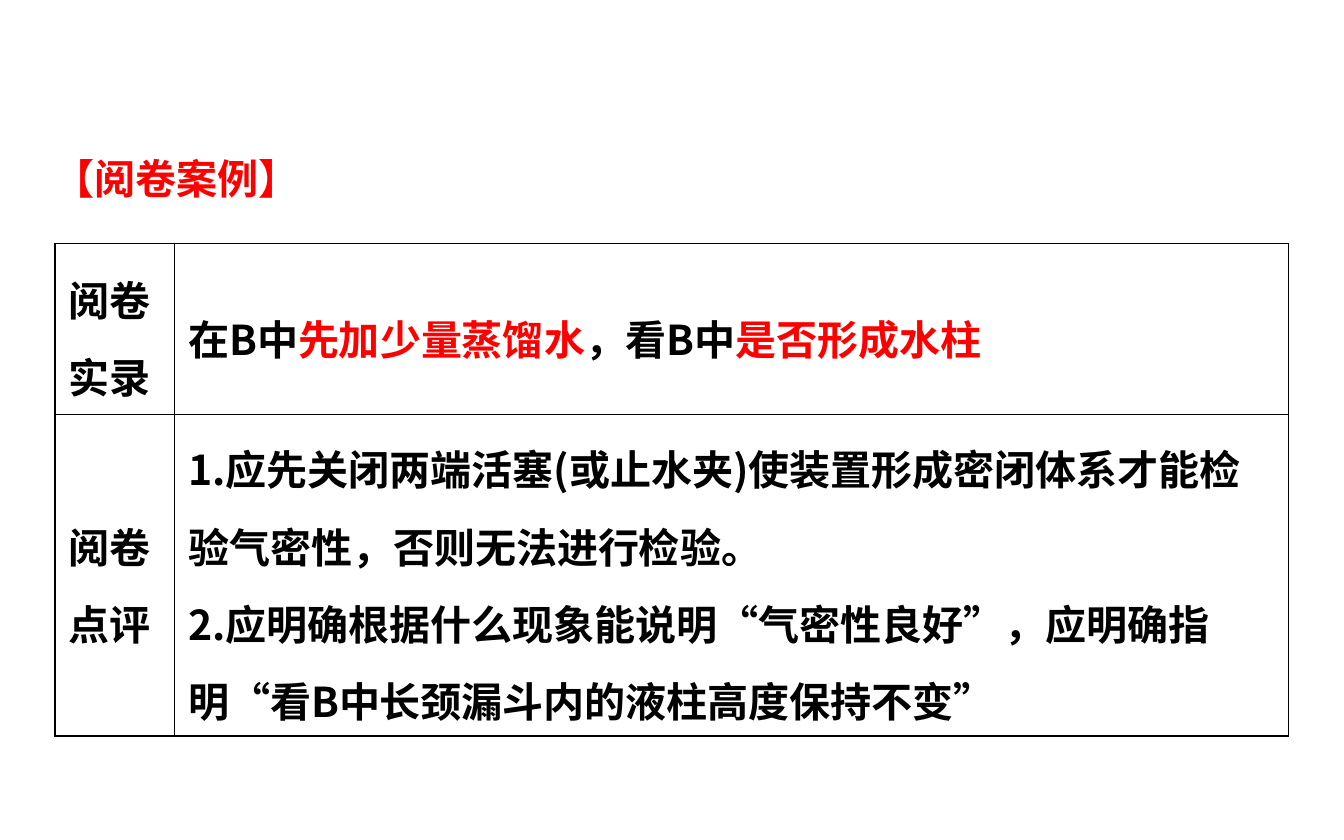
"""Build the marking case slide with its two-row comment table."""
from lxml.etree import SubElement
from pptx import Presentation
from pptx.dml.color import RGBColor
from pptx.enum.lang import MSO_LANGUAGE_ID
from pptx.enum.text import MSO_ANCHOR, MSO_AUTO_SIZE, PP_ALIGN
from pptx.oxml import parse_xml
from pptx.oxml.ns import nsdecls, qn
from pptx.util import Inches, Pt

RED = RGBColor(0xFF, 0x00, 0x00)
BLACK = RGBColor(0x00, 0x00, 0x00)
WHITE = RGBColor(0xFF, 0xFF, 0xFF)
FONT = "Noto Sans CJK SC"


def add_text(p, text, color=BLACK, size=22, spacing=1.3):
    p.alignment = PP_ALIGN.LEFT
    p.line_spacing = spacing
    r = p.add_run()
    r.text = text
    r.font.name = FONT
    r.font.size = Pt(size)
    r.font.bold = True
    r.font.color.rgb = color
    r.font.language_id = MSO_LANGUAGE_ID.SIMPLIFIED_CHINESE
    SubElement(r.font._element, qn("a:ea"), typeface=FONT)


def set_border(cell, index, side, width):
    cell._tc.get_or_add_tcPr().insert(index, parse_xml(
        f'<a:{side} {nsdecls("a")} w="{Pt(width)}"><a:solidFill>'
        f'<a:srgbClr val="{BLACK}"/></a:solidFill></a:{side}>'))


prs = Presentation()
prs.slide_width, prs.slide_height = Inches(10), Inches(6.25)
s = prs.slides.add_slide(prs.slide_layouts[5])

title = s.shapes.title
title.left, title.top = Inches(0.3), Inches(0.8)
title.width, title.height = Inches(9.43), Inches(0.76)
tf = title.text_frame
tf.word_wrap = True
tf.auto_size = MSO_AUTO_SIZE.NONE
tf.vertical_anchor = MSO_ANCHOR.TOP
add_text(tf.paragraphs[0], "【阅卷案例】", color=RED, spacing=1.8)

rows = [
    [
        [[("阅卷", BLACK)], [("实录", BLACK)]],
        [[("在B中", BLACK), ("先加少量蒸馏水", RED),
          ("，看B中", BLACK), ("是否形成水柱", RED)]],
    ],
    [
        [[("阅卷", BLACK)], [("点评", BLACK)]],
        [[("1.应先关闭两端活塞(或止水夹)使装置形成密闭体系才能检验气密性，否则无法进行检验。", BLACK)],
         [("2.应明确根据什么现象能说明“气密性良好”，应明确指明“看B中长颈漏斗内的液柱高度保持不变”", BLACK)]],
    ],
]

table = s.shapes.add_table(2, 2, Inches(0.41), Inches(1.81),
                           Inches(9.18), Inches(3.65)).table
table.first_row = False
table.horz_banding = False
for column, width in zip(table.columns, (0.89, 8.29)):
    column.width = Inches(width)
for row, height in zip(table.rows, (1.27, 2.38)):
    row.height = Inches(height)

for i, row in enumerate(rows):
    for j, paragraphs in enumerate(row):
        cell = table.cell(i, j)
        cell.vertical_anchor = MSO_ANCHOR.MIDDLE
        cell.fill.solid()
        cell.fill.fore_color.rgb = WHITE
        outer = {"lnL": j == 0, "lnR": j == 1, "lnT": i == 0, "lnB": i == 1}
        for index, (side, is_outer) in enumerate(outer.items()):
            set_border(cell, index, side, 0.75 if is_outer else 0.45)
        tf = cell.text_frame
        for k, runs in enumerate(paragraphs):
            p = tf.add_paragraph() if k else tf.paragraphs[0]
            for text, color in runs:
                add_text(p, text, color=color)

prs.save("out.pptx")
